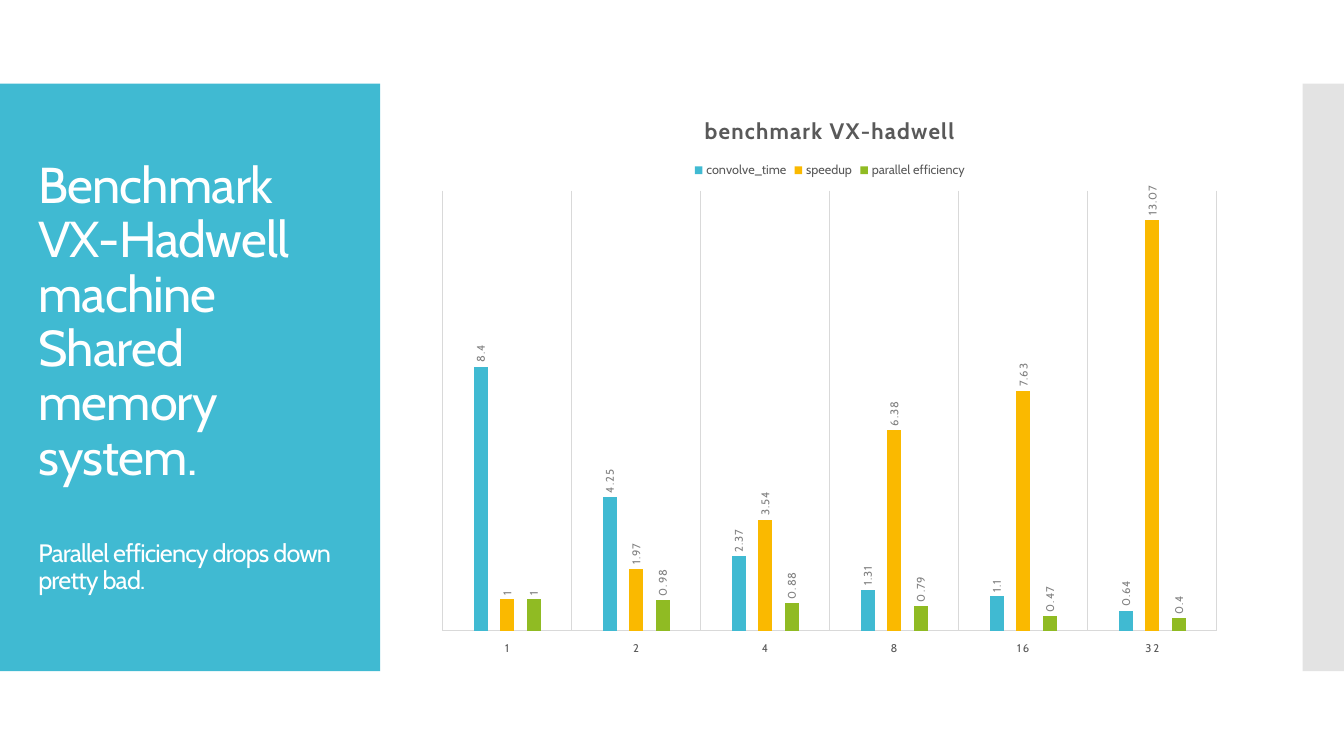
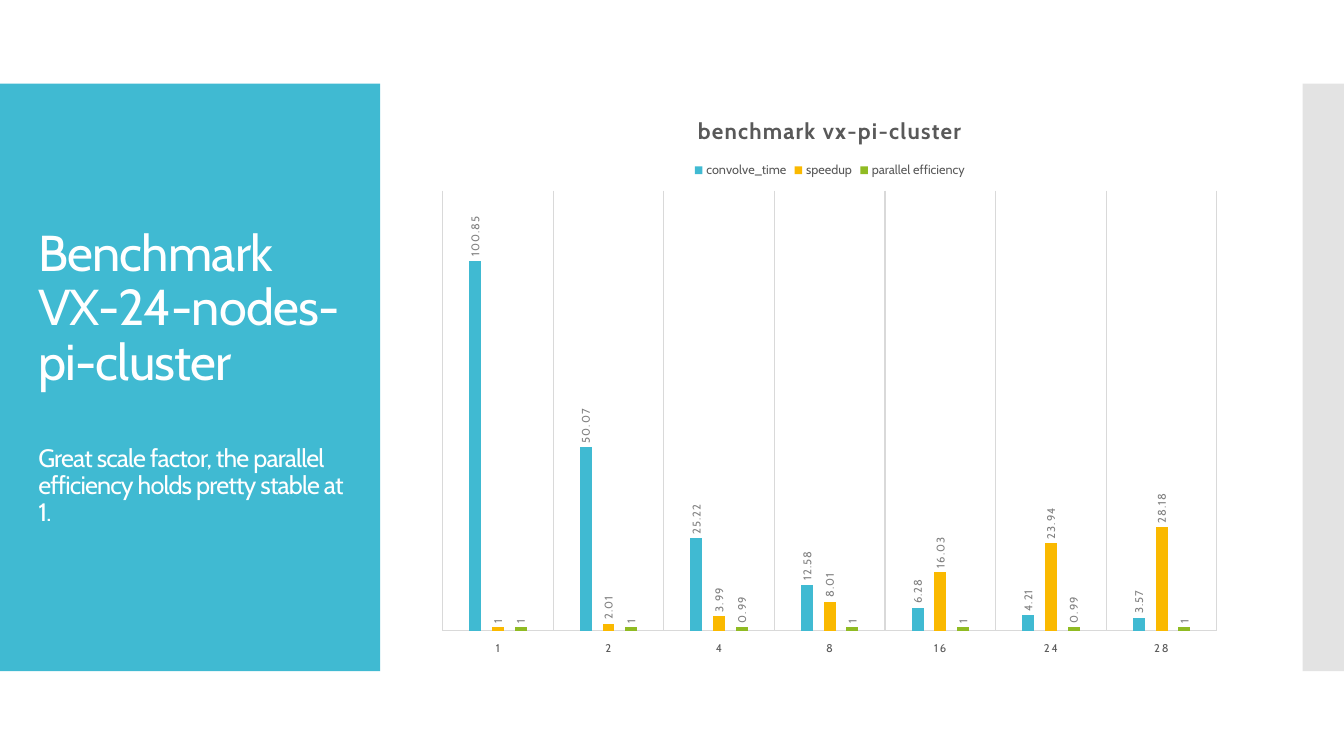
from lxml import etree
from pptx import Presentation
from pptx.chart.data import CategoryChartData
from pptx.dml.color import RGBColor
from pptx.enum.chart import (XL_CHART_TYPE, XL_LABEL_POSITION,
                             XL_LEGEND_POSITION, XL_TICK_LABEL_POSITION, XL_TICK_MARK)
from pptx.enum.shapes import MSO_SHAPE
from pptx.enum.text import MSO_ANCHOR, MSO_AUTO_SIZE, PP_ALIGN
from pptx.oxml.ns import qn
from pptx.util import Inches, Pt

COLUMNS = XL_CHART_TYPE.COLUMN_CLUSTERED
OUTSIDE_END = XL_LABEL_POSITION.OUTSIDE_END
LEGEND_TOP = XL_LEGEND_POSITION.TOP
LABELS_LOW = XL_TICK_LABEL_POSITION.LOW
NO_TICK = XL_TICK_MARK.NONE
RECT = MSO_SHAPE.RECTANGLE
MIDDLE = MSO_ANCHOR.MIDDLE
NO_FIT = MSO_AUTO_SIZE.NONE
LEFT = PP_ALIGN.LEFT

FONT = "Cabin"
WHITE, BLUE, SILVER = "FFFFFF", "40BAD2", "C8C8C8"
TEXT, LABEL, RULE = "595959", "808080", "D9D9D9"
SERIES = [("convolve_time", BLUE), ("speedup", "FAB900"), ("parallel efficiency", "90BB23")]

SLIDES = [
    {
        "title": "Benchmark\vVX-Hadwell machine\vShared memory system.",
        "note": "Parallel efficiency drops down pretty bad.",
        "chart": "benchmark VX-hadwell",
        "top": 14,
        "nodes": ["1", "2", "4", "8", "16", "32"],
        "values": [
            (8.4, 4.25, 2.37, 1.31, 1.1, 0.64),
            (1, 1.97, 3.54, 6.38, 7.63, 13.07),
            (1, 0.98, 0.88, 0.79, 0.47, 0.4),
        ],
    },
    {
        "title": "Benchmark VX-24-nodes-pi-cluster",
        "note": "Great scale factor, the parallel efficiency holds pretty stable at 1.",
        "chart": "benchmark vx-pi-cluster",
        "top": 120,
        "nodes": ["1", "2", "4", "8", "16", "24", "28"],
        "values": [
            (100.85, 50.07, 25.22, 12.58, 6.28, 4.21, 3.57),
            (1, 2.01, 3.99, 8.01, 16.03, 23.94, 28.18),
            (1, 1, 0.99, 1, 1, 0.99, 1),
        ],
    },
]

SLIDE_W, SLIDE_H = 13.33, 7.5
BAND_Y, BAND_H = 0.83, 5.83
BANDS = [(0, 3.77, BLUE, 100), (12.92, 0.42, SILVER, 50)]
TITLE_BOX = (0.28, 1.23, 3.22, 5.03)
CHART_BOX = (4.23, 0.94, 8, 5.6)
PLOT_AREA = (0.02, 0.17, 0.96, 0.78)


def rgb(value):
    return RGBColor.from_string(value)


def box(values):
    return [Inches(v) for v in values]


def set_font(font, size, color, bold=False, spacing=0):
    font.name = FONT
    font.size = Pt(size)
    font.bold = bold
    font.color.rgb = rgb(color)
    font._element.set("spc", str(round(spacing * 100)))


def set_line(line, color):
    line.color.rgb = rgb(color)
    line.width = Pt(0.75)


def add_bands(slide):
    for x, w, color, opacity in BANDS:
        sp = slide.shapes.add_shape(RECT, *box((x, BAND_Y, w, BAND_H)))
        sp.shadow.inherit = False
        sp.line.fill.background()
        sp.fill.solid()
        sp.fill.fore_color.rgb = rgb(color)
        if opacity < 100:
            clr = sp.fill._xPr.find(".//" + qn("a:srgbClr"))
            etree.SubElement(clr, qn("a:alpha")).set("val", str(opacity * 1000))


def add_title(slide, title, note):
    sp = slide.shapes.title
    sp.left, sp.top, sp.width, sp.height = box(TITLE_BOX)
    tf = sp.text_frame
    tf.word_wrap = True
    tf.auto_size = NO_FIT
    tf.vertical_anchor = MIDDLE
    tf.paragraphs[0].text = title
    tf.add_paragraph().text = note
    for p, size, before in zip(tf.paragraphs, (36, 18), (0, 39)):
        p.alignment = LEFT
        p.line_spacing = 0.9
        p.space_before = Pt(before)
        for r in p.runs:
            set_font(r.font, size, WHITE, spacing=-0.6)
    slide.shapes._spTree.append(sp._element)


def place_plot(chart):
    area = chart._chartSpace.chart.plotArea
    layout = area.find(qn("c:layout"))
    if layout is None:
        layout = etree.Element(qn("c:layout"))
        area.insert(0, layout)
    manual = etree.SubElement(layout, qn("c:manualLayout"))
    settings = [("layoutTarget", "inner"), ("xMode", "edge"), ("yMode", "edge")]
    for tag, value in settings + list(zip("xywh", PLOT_AREA)):
        etree.SubElement(manual, qn("c:" + tag)).set("val", str(value))


def add_benchmark(slide, item):
    data = CategoryChartData()
    data.categories = item["nodes"]
    for (name, _), values in zip(SERIES, item["values"]):
        data.add_series(name, values)
    chart = slide.shapes.add_chart(COLUMNS, *box(CHART_BOX), data).chart
    set_font(chart.font, 10, "000000")

    chart.has_title = True
    tf = chart.chart_title.text_frame
    tf.text = item["chart"]
    set_font(tf.paragraphs[0].runs[0].font, 16, TEXT, True, 1)
    chart.chart_title.include_in_layout = False

    chart.has_legend = True
    chart.legend.position = LEGEND_TOP
    chart.legend.include_in_layout = False
    set_font(chart.legend.font, 9, TEXT)

    axis = chart.category_axis
    axis.major_tick_mark = axis.minor_tick_mark = NO_TICK
    axis.tick_label_position = LABELS_LOW
    axis.has_major_gridlines = True
    set_line(axis.format.line, RULE)
    set_line(axis.major_gridlines.format.line, RULE)
    set_font(axis.tick_labels.font, 8, TEXT, spacing=1.2)

    axis = chart.value_axis
    axis.has_major_gridlines = False
    axis.minimum_scale, axis.maximum_scale = 0, item["top"]
    axis.visible = False

    plot = chart.plots[0]
    plot.vary_by_categories = False
    plot.gap_width, plot.overlap = 444, -90
    for series, (_, color) in zip(plot.series, SERIES):
        series.format.fill.solid()
        series.format.fill.fore_color.rgb = rgb(color)
        labels = series.data_labels
        labels.show_value = True
        labels.position = OUTSIDE_END
        set_font(labels.font, 8, LABEL, spacing=0.6)
        body = labels._element.find(".//" + qn("a:bodyPr"))
        body.set("rot", "-5400000")
        body.set("vert", "horz")
    place_plot(chart)


prs = Presentation()
prs.slide_width, prs.slide_height = Inches(SLIDE_W), Inches(SLIDE_H)
for item in SLIDES:
    slide = prs.slides.add_slide(prs.slide_layouts[5])
    add_bands(slide)
    add_title(slide, item["title"], item["note"])
    add_benchmark(slide, item)
prs.save("out.pptx")
